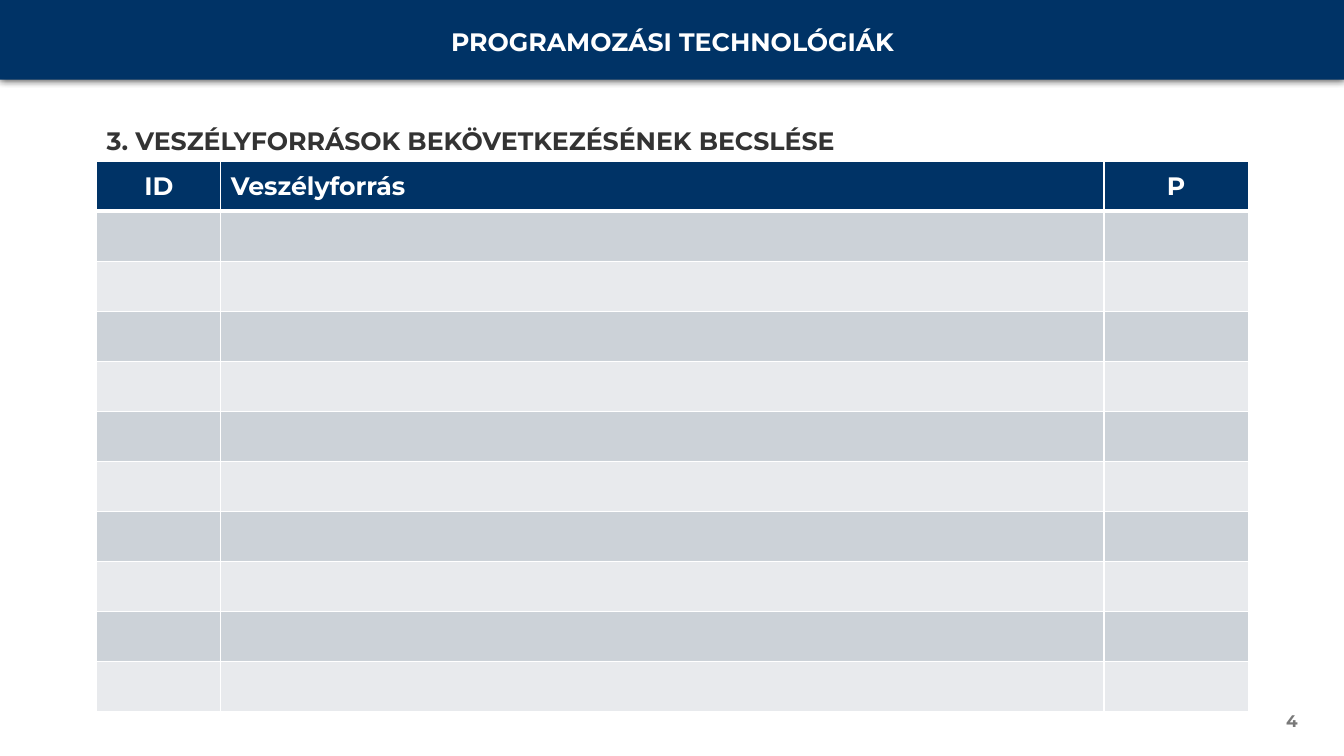
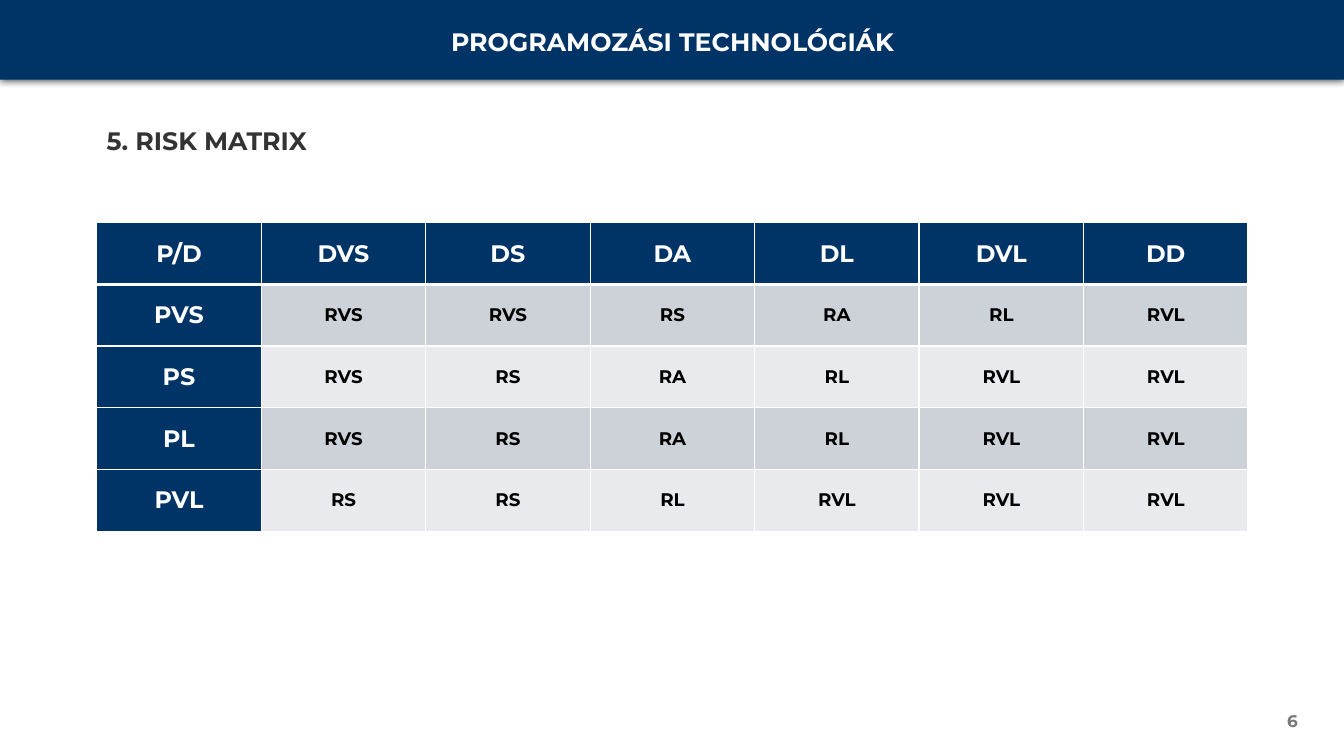
from dataclasses import dataclass

from lxml import etree
from pptx import Presentation
from pptx.dml.color import RGBColor
from pptx.enum.shapes import MSO_SHAPE
from pptx.enum.text import MSO_ANCHOR, PP_ALIGN
from pptx.oxml.ns import qn
from pptx.util import Inches, Pt

RECTANGLE = MSO_SHAPE.RECTANGLE
TOP, MIDDLE = MSO_ANCHOR.TOP, MSO_ANCHOR.MIDDLE
LEFT, CENTER, RIGHT = PP_ALIGN.LEFT, PP_ALIGN.CENTER, PP_ALIGN.RIGHT

# Shared style
FONT = "Montserrat"
NAVY, WHITE, BLACK = "003366", "FFFFFF", "000000"
HEADING_GRAY, NUMBER_GRAY = "333333", "797979"
ROW_FILLS = ("CCD2D8", "E8EAED")
SLIDE_WIDTH, SLIDE_HEIGHT = 13.33, 7.5
MARGIN, CONTENT_WIDTH = 0.96, 11.42
COURSE = "PROGRAMOZÁSI TECHNOLÓGIÁK"
THIN, THICK = 1, 3


@dataclass(frozen=True)
class TextStyle:
    size: float
    color: str
    align: PP_ALIGN = LEFT


@dataclass(frozen=True)
class Grid:
    top: float
    height: float
    columns: tuple[float, ...]
    rows: tuple[tuple[str, ...], ...]
    header_size: float
    left_columns: tuple[int, ...] = ()
    row_headers: bool = False


@dataclass(frozen=True)
class Page:
    number: int
    heading: str
    heading_width: float
    grid: Grid


COURSE_STYLE = TextStyle(18, WHITE, CENTER)
HEADING_STYLE = TextStyle(18, HEADING_GRAY)
NUMBER_STYLE = TextStyle(12, NUMBER_GRAY, RIGHT)

HAZARD_ROWS = 10
MATRIX_COLUMNS = 7

PAGES = (
    Page(4, "3. VESZÉLYFORRÁSOK BEKÖVETKEZÉSÉNEK BECSLÉSE", CONTENT_WIDTH, Grid(
        top=1.6, height=5.46, columns=(1.23, 8.76, 1.43),
        rows=(("ID", "Veszélyforrás", "P"),) + (("", "", ""),) * HAZARD_ROWS,
        header_size=18, left_columns=(1,))),
    Page(6, "5. RISK MATRIX", 8.32, Grid(
        top=2.21, height=3.06,
        columns=(CONTENT_WIDTH / MATRIX_COLUMNS,) * MATRIX_COLUMNS,
        rows=(
            ("P/D", "DVS", "DS", "DA", "DL", "DVL", "DD"),
            ("PVS", "RVS", "RVS", "RS", "RA", "RL", "RVL"),
            ("PS", "RVS", "RS", "RA", "RL", "RVL", "RVL"),
            ("PL", "RVS", "RS", "RA", "RL", "RVL", "RVL"),
            ("PVL", "RS", "RS", "RL", "RVL", "RVL", "RVL"),
        ),
        header_size=17, row_headers=True)),
)


def rgb(color: str) -> RGBColor:
    return RGBColor.from_string(color)


def write(para, text: str, style: TextStyle) -> None:
    para.alignment = style.align
    span = para.add_run()
    span.text = text
    span.font.name = FONT
    span.font.size = Pt(style.size)
    span.font.bold = True
    span.font.color.rgb = rgb(style.color)


def add_text(page, at: tuple[float, float, float, float], text: str,
             style: TextStyle, anchor: MSO_ANCHOR = TOP) -> None:
    box = page.shapes.add_textbox(*map(Inches, at))
    frame = box.text_frame
    frame.word_wrap = True
    frame.vertical_anchor = anchor
    write(frame.paragraphs[0], text, style)


def add_band(page) -> None:
    band = page.shapes.add_shape(RECTANGLE, 0, 0, Inches(SLIDE_WIDTH), Inches(0.79))
    band.fill.solid()
    band.fill.fore_color.rgb = rgb(NAVY)
    band.line.fill.background()
    band.shadow.inherit = False
    # Soft shadow below the band
    effects = band._element.spPr.find(qn("a:effectLst"))
    shadow = etree.SubElement(effects, qn("a:outerShdw"), blurRad=str(Pt(6)),
                              dist="0", dir="5400000", algn="t", rotWithShape="0")
    tint = etree.SubElement(shadow, qn("a:srgbClr"), val=BLACK)
    etree.SubElement(tint, qn("a:alpha"), val="80000")


def set_borders(cell, top: float, bottom: float) -> None:
    properties = cell._tc.get_or_add_tcPr()
    widths = {"a:lnL": THIN, "a:lnR": THIN, "a:lnT": top, "a:lnB": bottom}
    for index, (tag, width) in enumerate(widths.items()):
        line = etree.Element(qn(tag), w=str(Pt(width)))
        fill = etree.SubElement(line, qn("a:solidFill"))
        etree.SubElement(fill, qn("a:srgbClr"), val=WHITE)
        properties.insert(index, line)


def add_grid(page, grid: Grid) -> None:
    frame = page.shapes.add_table(
        len(grid.rows), len(grid.columns), Inches(MARGIN), Inches(grid.top),
        Inches(CONTENT_WIDTH), Inches(grid.height))
    table = frame.table
    for column, width in zip(table.columns, grid.columns):
        column.width = Inches(width)
    for row_index, texts in enumerate(grid.rows):
        table.rows[row_index].height = Inches(grid.height / len(grid.rows))
        for column_index, text in enumerate(texts):
            cell = table.cell(row_index, column_index)
            is_header = row_index == 0 or (grid.row_headers and column_index == 0)
            cell.fill.solid()
            cell.fill.fore_color.rgb = rgb(
                NAVY if is_header else ROW_FILLS[(row_index - 1) % 2])
            set_borders(cell, top=THICK if row_index == 1 else THIN,
                        bottom=THICK if row_index == 0 else THIN)
            cell.vertical_anchor = MIDDLE
            if text:
                align = LEFT if column_index in grid.left_columns else CENTER
                style = (TextStyle(grid.header_size, WHITE, align) if is_header
                         else TextStyle(13, BLACK, align))
                write(cell.text_frame.paragraphs[0], text, style)


def add_page(deck, content: Page) -> None:
    page = deck.slides.add_slide(deck.slide_layouts[6])
    add_band(page)
    add_text(page, (4.06, 0.21, 5.22, 0.4), COURSE, COURSE_STYLE)
    add_text(page, (MARGIN, 1.19, content.heading_width, 0.4),
             content.heading, HEADING_STYLE)
    add_text(page, (9.97, 6.95, 3, 0.4), str(content.number), NUMBER_STYLE, MIDDLE)
    add_grid(page, content.grid)


def main() -> None:
    deck = Presentation()
    deck.slide_width = Inches(SLIDE_WIDTH)
    deck.slide_height = Inches(SLIDE_HEIGHT)
    for content in PAGES:
        add_page(deck, content)
    deck.save("out.pptx")


if __name__ == "__main__":
    main()
